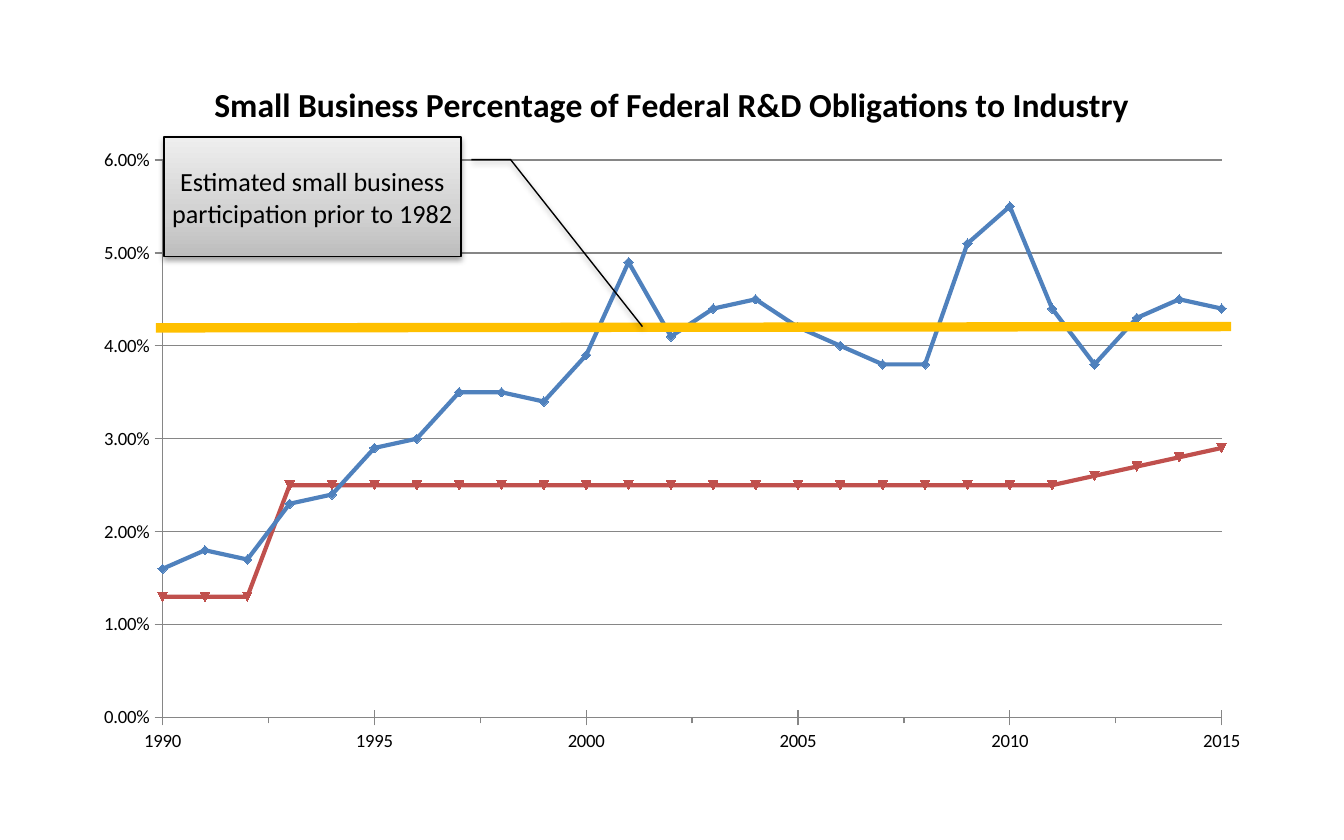
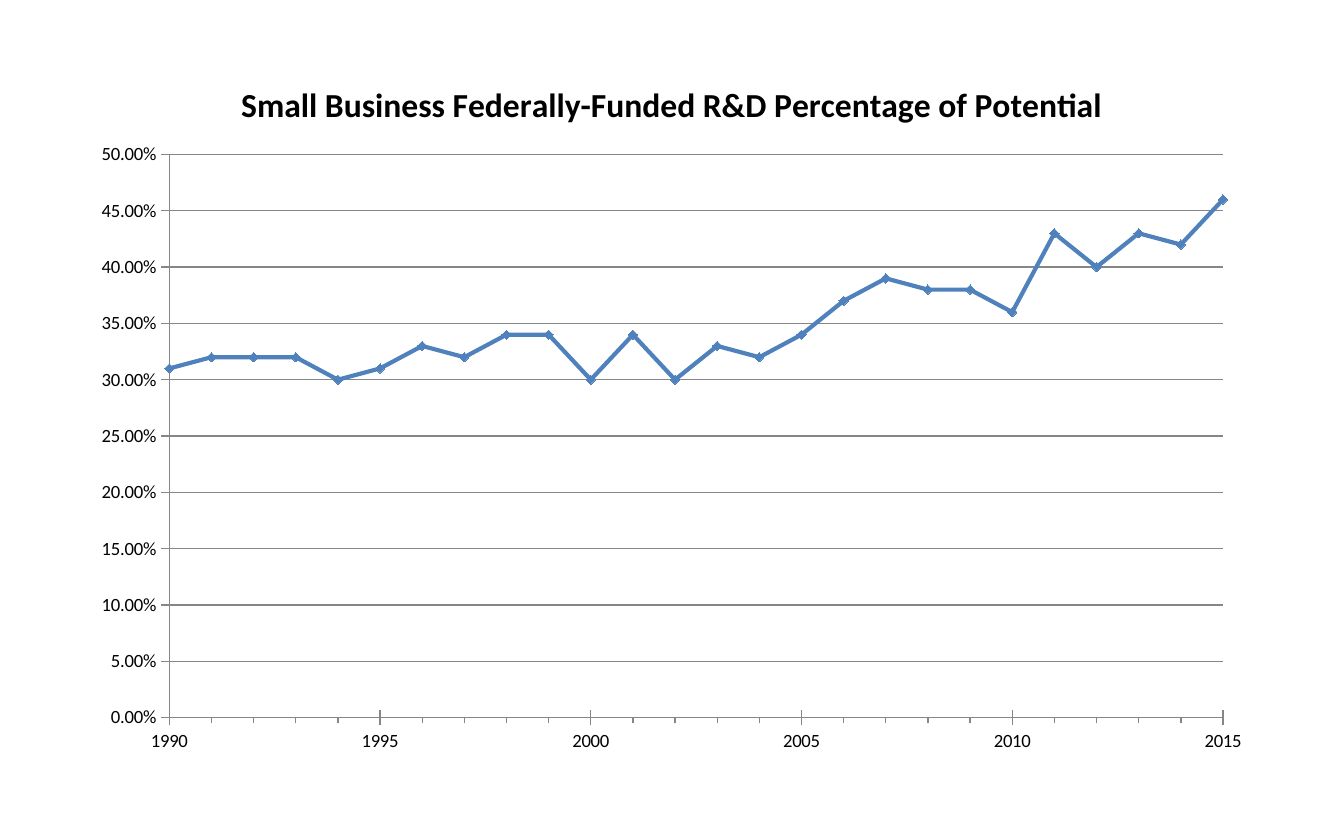
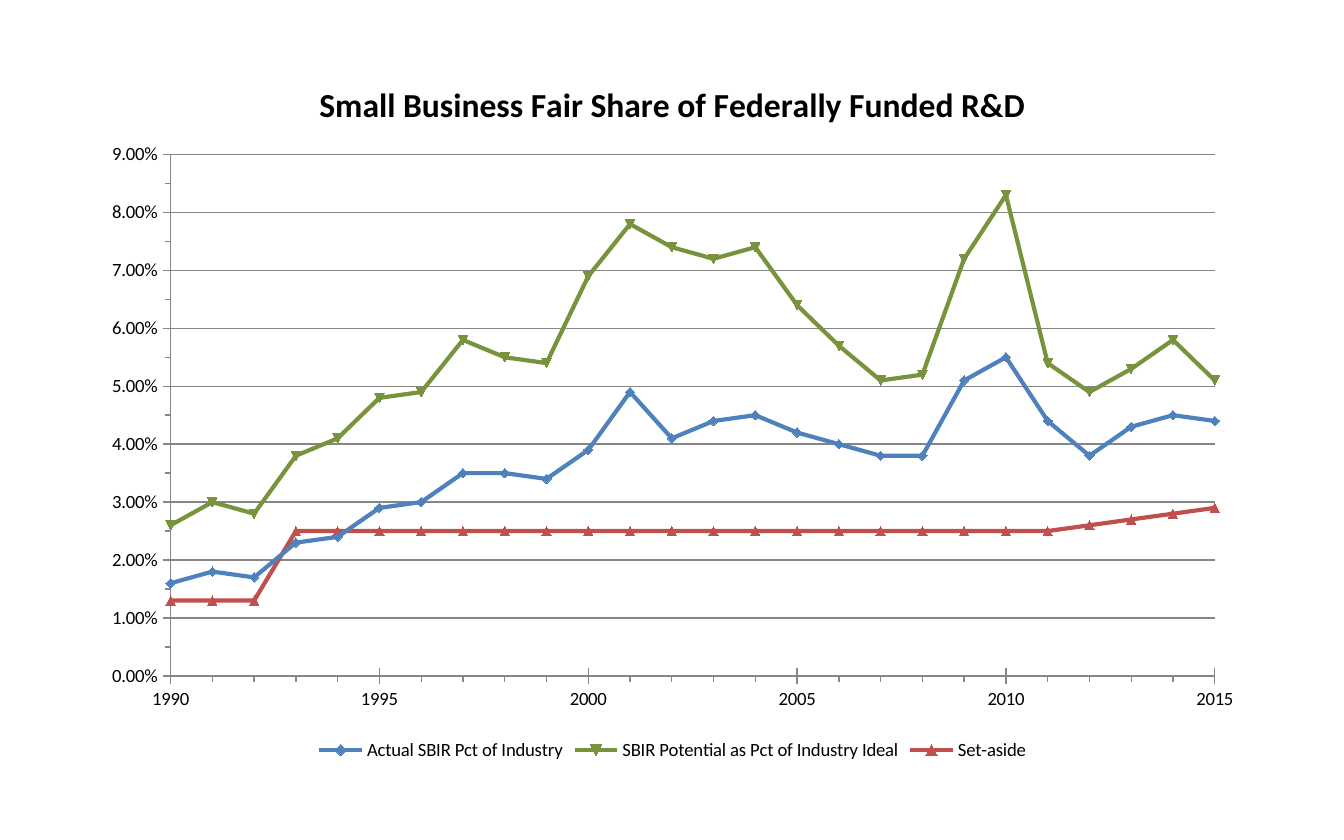
from dataclasses import dataclass
from typing import Optional

from pptx import Presentation
from pptx.chart.data import XyChartData
from pptx.dml.color import RGBColor
from pptx.enum.chart import XL_CHART_TYPE as ChartType
from pptx.enum.chart import XL_LEGEND_POSITION as LegendPosition
from pptx.enum.chart import XL_TICK_MARK as Tick
from pptx.enum.shapes import MSO_CONNECTOR as Connector
from pptx.enum.shapes import MSO_SHAPE as Shape
from pptx.enum.text import MSO_ANCHOR as Anchor
from pptx.enum.text import PP_ALIGN as Align
from pptx.oxml import parse_xml
from pptx.oxml.ns import nsdecls, qn
from pptx.util import Inches, Pt

FONT = "Calibri"
COLORS = {
    "text": "000000",
    "axis": "868686",
    "actual": "4F81BD",
    "set_aside": "C0504D",
    "potential": "77933C",
    "estimate": "FFC000",
    "callout_bottom": "BDBDBD",
    "callout_middle": "D1D1D1",
    "callout_top": "EEEEEE",
}

# Yearly values in percent
YEARS = range(1990, 2016)
ACTUAL = [1.6, 1.8, 1.7, 2.3, 2.4, 2.9, 3.0, 3.5, 3.5, 3.4, 3.9, 4.9, 4.1,
          4.4, 4.5, 4.2, 4.0, 3.8, 3.8, 5.1, 5.5, 4.4, 3.8, 4.3, 4.5, 4.4]
SET_ASIDE = [1.3] * 3 + [2.5] * 19 + [2.6, 2.7, 2.8, 2.9]
OF_POTENTIAL = [31, 32, 32, 32, 30, 31, 33, 32, 34, 34, 30, 34, 30,
                33, 32, 34, 37, 39, 38, 38, 36, 43, 40, 43, 42, 46]
IDEAL = [2.6, 3.0, 2.8, 3.8, 4.1, 4.8, 4.9, 5.8, 5.5, 5.4, 6.9, 7.8, 7.4,
         7.2, 7.4, 6.4, 5.7, 5.1, 5.2, 7.2, 8.3, 5.4, 4.9, 5.3, 5.8, 5.1]


@dataclass(frozen=True)
class Box:
    left: float
    top: float
    width: float
    height: float

    def emu(self) -> list:
        return [Inches(v) for v in (self.left, self.top, self.width, self.height)]


@dataclass(frozen=True)
class Trend:
    name: str
    percents: list
    color: str


@dataclass(frozen=True)
class TrendChart:
    title: str
    frame: Box
    plot: Box  # on the slide
    trends: list
    top_percent: float
    percent_step: float
    minor_years: float
    minor_percent: Optional[float] = None
    legend: bool = False


CHARTS = [
    TrendChart("Small Business Percentage of Federal R&D Obligations to Industry",
               Box(0.6, 0.4, 8.8, 5.3), Box(1.21, 1.19, 7.88, 4.15),
               [Trend("Series 1", ACTUAL, "actual"), Trend("Series 2", SET_ASIDE, "set_aside")],
               6, 1, 2.5),
    TrendChart("Small Business Federally-Funded R&D Percentage of Potential",
               Box(0.58, 0.4, 8.84, 5.3), Box(1.26, 1.15, 7.84, 4.19),
               [Trend("Series 1", OF_POTENTIAL, "actual")], 50, 5, 1),
    TrendChart("Small Business Fair Share of Federally Funded R&D",
               Box(0.66, 0.4, 8.69, 5.3), Box(1.27, 1.15, 7.77, 3.88),
               [Trend("Actual SBIR Pct of Industry", ACTUAL, "actual"),
                Trend("SBIR Potential as Pct of Industry Ideal", IDEAL, "potential"),
                Trend("Set-aside", SET_ASIDE, "set_aside")],
               9, 1, 1, minor_percent=0.5, legend=True),
]


def rgb(name: str) -> RGBColor:
    return RGBColor.from_string(COLORS[name])


def style_font(font, size: float, bold: bool = False) -> None:
    font.name, font.size, font.bold = FONT, Pt(size), bold
    font.color.rgb = rgb("text")


def style_line(line, color: str, width: float) -> None:
    line.color.rgb = rgb(color)
    line.width = Pt(width)


def style_axis(axis, low: float, high: float, step: float, minor: Optional[float],
               major_tick, number_format: str) -> None:
    axis.minimum_scale, axis.maximum_scale, axis.major_unit = low, high, step
    axis.major_tick_mark = major_tick
    axis.minor_tick_mark = Tick.OUTSIDE if minor else Tick.NONE
    if minor:
        axis.minor_unit = minor
    axis.tick_labels.number_format = number_format
    axis.tick_labels.number_format_is_linked = False
    style_font(axis.tick_labels.font, 10)
    style_line(axis.format.line, "axis", 0.75)


def place_plot(chart, frame: Box, plot: Box) -> None:
    """Fix the inner plot area as fractions of the chart frame."""
    fractions = {
        "x": (plot.left - frame.left) / frame.width,
        "y": (plot.top - frame.top) / frame.height,
        "w": plot.width / frame.width,
        "h": plot.height / frame.height,
    }
    modes = "".join(f'<c:{key}Mode val="edge"/>' for key in "xy")
    sizes = "".join(f'<c:{key} val="{value:.4f}"/>' for key, value in fractions.items())
    area = chart._chartSpace.chart.plotArea
    for automatic in area.findall(qn("c:layout")):
        area.remove(automatic)
    area.insert(0, parse_xml(
        f'<c:layout {nsdecls("c")}><c:manualLayout><c:layoutTarget val="inner"/>'
        f'{modes}{sizes}</c:manualLayout></c:layout>'))


def draw_chart(slide, content: TrendChart) -> None:
    data = XyChartData(number_format="0.00%")
    for trend in content.trends:
        series = data.add_series(trend.name)
        for year, percent in zip(YEARS, trend.percents):
            series.add_data_point(year, round(percent / 100, 3))
    chart = slide.shapes.add_chart(ChartType.XY_SCATTER_LINES, *content.frame.emu(), data).chart
    style_font(chart.font, 10)

    # Title and legend
    chart.has_title = True
    heading = chart.chart_title.text_frame.paragraphs[0]
    heading.text = content.title
    style_font(heading.font, 18, bold=True)
    chart.has_legend = content.legend
    if content.legend:
        chart.legend.position = LegendPosition.BOTTOM
        chart.legend.include_in_layout = False
        style_font(chart.legend.font, 10)

    # Axes
    years, shares = chart.category_axis, chart.value_axis
    style_axis(years, YEARS[0], YEARS[-1], 5, content.minor_years, Tick.CROSS, "General")
    minor = content.minor_percent / 100 if content.minor_percent else None
    style_axis(shares, 0, content.top_percent / 100, content.percent_step / 100, minor,
               Tick.CROSS if minor else Tick.OUTSIDE, "0.00%")
    years.has_major_gridlines = False
    shares.has_major_gridlines = True
    style_line(shares.major_gridlines.format.line, "axis", 0.75)
    place_plot(chart, content.frame, content.plot)

    # Trend lines; marker shapes stay automatic
    chart.plots[0].vary_by_categories = False
    for series, trend in zip(chart.plots[0].series, content.trends):
        series.smooth = False
        style_line(series.format.line, trend.color, 2.25)
        series.marker.size = 5
        series.marker.format.fill.solid()
        series.marker.format.fill.fore_color.rgb = rgb(trend.color)
        style_line(series.marker.format.line, trend.color, 0.75)


def draw_estimate(slide) -> None:
    # Level line
    level = slide.shapes.add_connector(
        Connector.STRAIGHT, Inches(1.16), Inches(2.44), Inches(9.16), Inches(2.43))
    style_line(level.line, "estimate", 5)
    level._element.spPr.append(parse_xml(f'<a:effectLst {nsdecls("a")}/>'))

    # Callout pointing at the line
    callout = slide.shapes.add_shape(Shape.LINE_CALLOUT_2, *Box(1.22, 1.02, 2.21, 0.89).emu())
    for index, value in enumerate((0.188, 1.035, 0.188, 1.167, 1.584, 1.611)):
        callout.adjustments[index] = value
    style_line(callout.line, "text", 0.75)
    callout.shadow.inherit = False
    properties = callout._element.spPr
    stops = "".join(
        f'<a:gs pos="{pos}000"><a:srgbClr val="{COLORS[name]}"/></a:gs>'
        for pos, name in ((0, "callout_bottom"), (35, "callout_middle"), (100, "callout_top")))
    properties.find(qn("a:prstGeom")).addnext(parse_xml(
        f'<a:gradFill {nsdecls("a")} rotWithShape="1"><a:gsLst>{stops}</a:gsLst>'
        '<a:lin ang="16200000" scaled="0"/></a:gradFill>'))
    properties.find(qn("a:effectLst")).append(parse_xml(
        f'<a:outerShdw {nsdecls("a")} blurRad="{Pt(3.1)}" dist="{Pt(1.6)}" dir="5400000" '
        f'rotWithShape="0"><a:srgbClr val="{COLORS["text"]}"><a:alpha val="38000"/>'
        '</a:srgbClr></a:outerShdw>'))

    frame = callout.text_frame
    frame.word_wrap = True
    frame.vertical_anchor = Anchor.MIDDLE
    frame.margin_left = frame.margin_right = 0
    frame.margin_top = frame.margin_bottom = Inches(0.05)
    note = frame.paragraphs[0]
    note.text = "Estimated small business participation prior to 1982"
    note.alignment = Align.CENTER
    style_font(note.font, 14)


def main() -> None:
    deck = Presentation()
    deck.slide_width, deck.slide_height = Inches(10), Inches(6.25)
    slides = [deck.slides.add_slide(deck.slide_layouts[6]) for _ in CHARTS]
    for slide, content in zip(slides, CHARTS):
        draw_chart(slide, content)
    draw_estimate(slides[0])
    deck.save("out.pptx")


if __name__ == "__main__":
    main()
